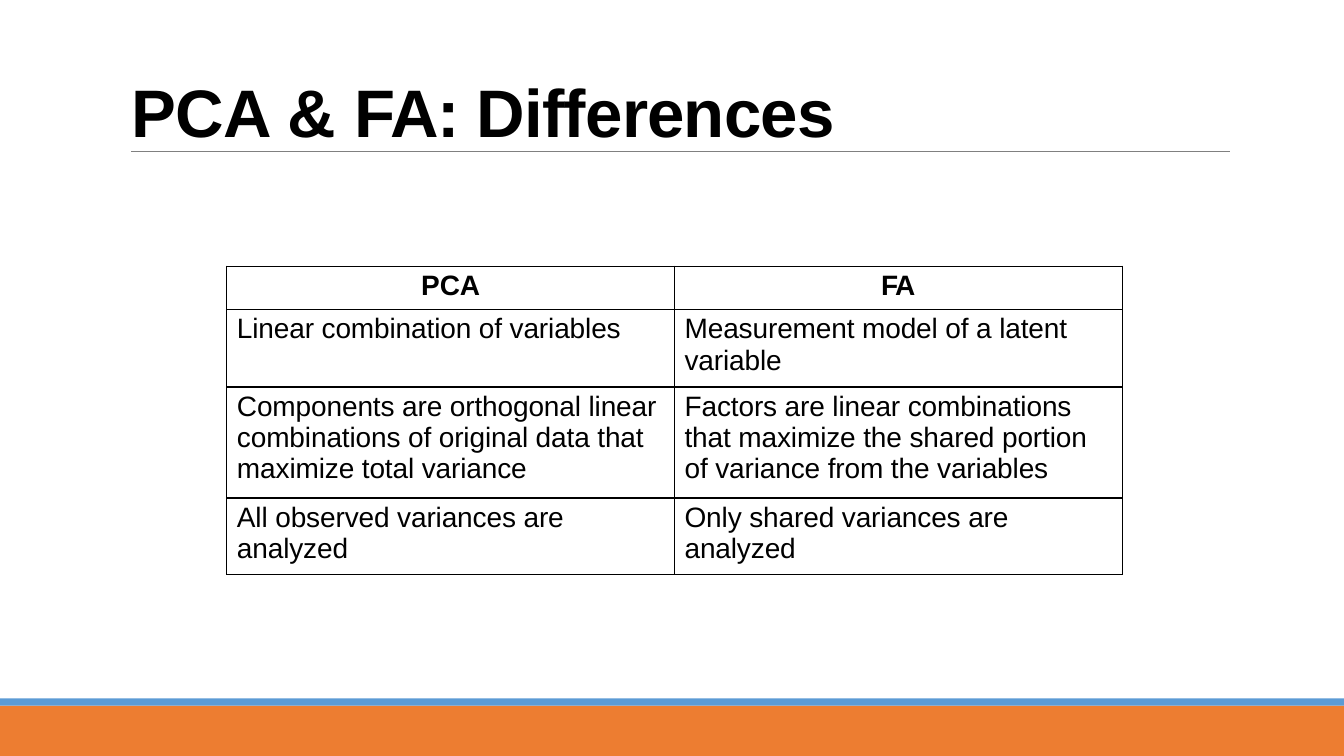
"""Build the slide that sets PCA and FA side by side in a table."""
import dataclasses
import typing

import pptx
import pptx.dml.color
import pptx.enum.shapes
import pptx.enum.text
import pptx.oxml
import pptx.oxml.ns
import pptx.util

SCALE = 9144


@dataclasses.dataclass(frozen=True)
class Theme:
    font: str = "Arial"
    ink: str = "000000"
    rule: str = "808080"
    base: str = "ED7D31"
    trim: str = "5B9BD5"
    head: float = 48
    body: float = 20
    thin: float = 0.48
    edge: float = 0.75
    inner: float = 1


class Band(typing.NamedTuple):
    top: int
    height: int
    color: str


class Run(typing.NamedTuple):
    text: str
    track: float
    bold: bool = True


THEME = Theme()
WIDTH, HEIGHT = 1333, 750
BANDS = [Band(700, 50, THEME.base), Band(693, 7, THEME.trim)]
TITLE = [Run("PCA ", -0.3), Run("& ", -0.1), Run("FA: ", -1.2), Run("Differences", -0.6)]
ROWS = [
    (Run("PCA", -0.1), Run("FA", -1.1)),
    (Run("Linear combination of variables", -0.1, False),
     Run("Measurement model of a latent  variable", -0.1, False)),
    (Run("Components are orthogonal linear  combinations of original data that  maximize total variance", -0.1, False),
     Run("Factors are linear combinations that maximize the shared portion  of variance from the variables", -0.1, False)),
    (Run("All observed variances are  analyzed", -0.1, False),
     Run("Only shared variances are  analyzed", -0.1, False)),
]
TALL = [43, 77, 110, 76]
COLUMN = 444


def px(count: int) -> pptx.util.Emu:
    """Turn px into EMU."""
    return pptx.util.Emu(count * SCALE)


def tint(code: str) -> pptx.dml.color.RGBColor:
    """Turn a hex code into a colour."""
    return pptx.dml.color.RGBColor.from_string(code)


def apply(item: typing.Any, form: dict[str, typing.Any]) -> None:
    """Set each attribute named in the dict."""
    for name, value in form.items():
        setattr(item, name, value)


def write(para: typing.Any, parts: typing.Iterable[Run], size: float) -> None:
    """Add styled runs to a paragraph."""
    for part in parts:
        run = para.add_run()
        run.text = part.text
        apply(run.font, {"name": THEME.font, "size": pptx.util.Pt(size), "bold": part.bold})
        run.font.color.rgb = tint(THEME.ink)
        run.font._element.set("spc", str(round(part.track * 100)))


def draw_band(slide: typing.Any, band: Band) -> None:
    """Draw one full-width band."""
    kind = pptx.enum.shapes.MSO_SHAPE.RECTANGLE
    shape = slide.shapes.add_shape(kind, 0, px(band.top), px(WIDTH), px(band.height))
    shape.shadow.inherit = False
    shape.fill.solid()
    shape.fill.fore_color.rgb = tint(band.color)
    shape.line.fill.background()


def draw_rule(slide: typing.Any) -> None:
    """Draw the thin line below the title."""
    kind = pptx.enum.shapes.MSO_CONNECTOR.STRAIGHT
    rule = slide.shapes.add_connector(kind, px(130), px(150), px(1220), px(150))
    rule.line.color.rgb = tint(THEME.rule)
    rule.line.width = pptx.util.Pt(THEME.thin)
    pptx.oxml.ns.qn("a:effectLst")
    rule._element.spPr.append(pptx.oxml.parse_xml(f"<a:effectLst {pptx.oxml.ns.nsdecls('a')}/>"))


def draw_title(slide: typing.Any) -> None:
    """Place and fill the title."""
    title = slide.shapes.title
    slide.shapes.element.append(title.element)
    apply(title, {"left": px(129), "top": px(67), "width": px(1021), "height": px(83)})
    frame = title.text_frame
    apply(frame, {"margin_left": 0, "margin_top": px(1), "margin_right": 0, "margin_bottom": 0,
                  "word_wrap": True, "auto_size": pptx.enum.text.MSO_AUTO_SIZE.NONE,
                  "vertical_anchor": pptx.enum.text.MSO_ANCHOR.BOTTOM})
    para = frame.paragraphs[0]
    apply(para, {"alignment": pptx.enum.text.PP_ALIGN.LEFT, "space_before": pptx.util.Pt(1)})
    para._p.get_or_add_pPr().set("marL", str(px(1)))
    write(para, TITLE, THEME.head)


def border(cell: typing.Any, sides: dict[str, bool]) -> None:
    """Line each cell side, thin on the outer edge."""
    props = cell._tc.get_or_add_tcPr()
    for spot, (side, outer) in enumerate(sides.items()):
        width = pptx.util.Pt(THEME.edge if outer else THEME.inner)
        props.insert(spot, pptx.oxml.parse_xml(
            f'<a:ln{side} {pptx.oxml.ns.nsdecls("a")} w="{width}"><a:solidFill>'
            f'<a:srgbClr val="{THEME.ink}"/></a:solidFill></a:ln{side}>'))


def draw_table(slide: typing.Any) -> None:
    """Draw the table of differences."""
    count = len(ROWS[0])
    table = slide.shapes.add_table(len(ROWS), count, px(225), px(264),
                                   px(COLUMN * count), px(sum(TALL))).table
    apply(table, {"first_row": False, "horz_banding": False})
    for column in table.columns:
        column.width = px(COLUMN)
    for down, (parts, tall) in enumerate(zip(ROWS, TALL)):
        table.rows[down].height = px(tall)
        for across, part in enumerate(parts):
            cell = table.cell(down, across)
            apply(cell, {"margin_left": 0, "margin_top": px(4), "margin_right": 0, "margin_bottom": 0})
            cell.fill.background()
            border(cell, {"L": across == 0, "R": across == count - 1,
                          "T": down == 0, "B": down == len(ROWS) - 1})
            para = cell.text_frame.paragraphs[0]
            if down == 0:
                apply(para, {"alignment": pptx.enum.text.PP_ALIGN.CENTER, "space_before": pptx.util.Pt(2.8)})
            else:
                para.space_before = pptx.util.Pt(3)
                para._p.get_or_add_pPr().set("marL", str(px(10)))
            write(para, [part], THEME.body)


def main() -> None:
    """Build and save the deck."""
    deck = pptx.Presentation()
    apply(deck, {"slide_width": px(WIDTH), "slide_height": px(HEIGHT)})
    slide = deck.slides.add_slide(deck.slide_layouts[5])
    for band in BANDS:
        draw_band(slide, band)
    draw_rule(slide)
    draw_title(slide)
    draw_table(slide)
    deck.save("out.pptx")


if __name__ == "__main__":
    main()
